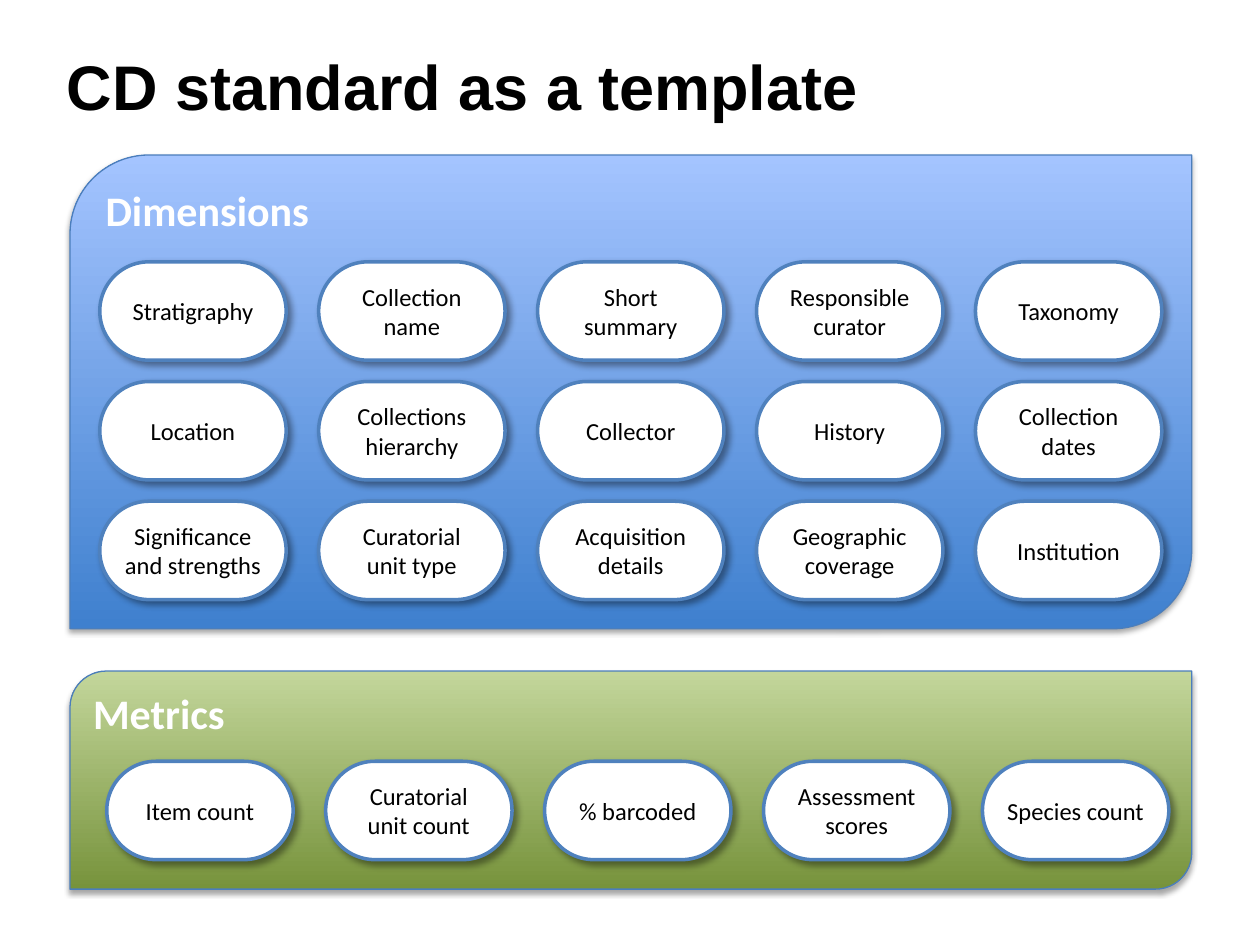
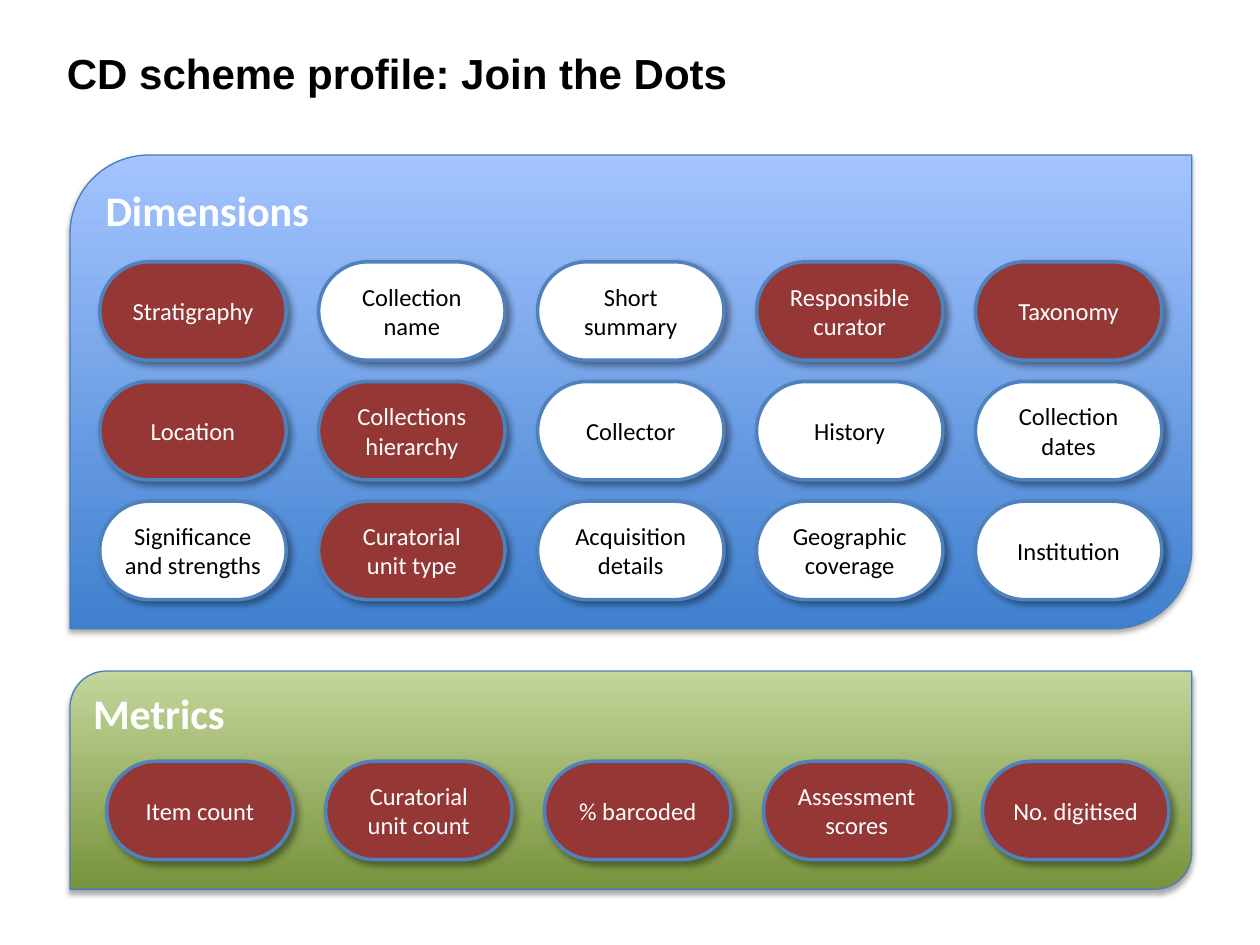
"""Builds two slides that show a collection description standard and one profile of it."""
from lxml.etree import SubElement
from pptx import Presentation
from pptx.dml.color import RGBColor
from pptx.enum.shapes import MSO_SHAPE
from pptx.enum.text import MSO_ANCHOR, MSO_AUTO_SIZE, PP_ALIGN
from pptx.oxml.ns import qn
from pptx.util import Pt

BLACK = RGBColor(0x00, 0x00, 0x00)
WHITE = RGBColor(0xFF, 0xFF, 0xFF)
DARK_RED = RGBColor(0x95, 0x37, 0x35)
PANEL_LINE = RGBColor(0x4B, 0x7E, 0xBC)
PILL_LINE = RGBColor(0x4F, 0x81, 0xBD)
BLUES = RGBColor(0x3F, 0x80, 0xCE), RGBColor(0xA4, 0xC4, 0xFF)
GREENS = RGBColor(0x77, 0x93, 0x3C), RGBColor(0xC3, 0xD6, 0x9B)

COLUMNS = 5
COLUMN_PITCH, ROW_PITCH = 125.1, 68.4
PILL_WIDTH, PILL_HEIGHT = 106.5, 56.2

DIMENSIONS = [
    "Stratigraphy", "Collection name", "Short summary", "Responsible curator", "Taxonomy",
    "Location", "Collections hierarchy", "Collector", "History", "Collection dates",
    "Significance and strengths", "Curatorial unit type", "Acquisition details",
    "Geographic coverage", "Institution",
]
SHARED_METRICS = ["Item count", "Curatorial unit count", "% barcoded", "Assessment scores"]
TEMPLATE_METRICS = SHARED_METRICS + ["Species count"]
PROFILE_METRICS = SHARED_METRICS + ["No. digitised"]
PROFILE_DIMENSIONS = {
    "Stratigraphy", "Responsible curator", "Taxonomy",
    "Location", "Collections hierarchy", "Curatorial unit type",
}


def add_span(para, text, font, size, color, bold=False):
    """Add one formatted run to a paragraph."""
    span = para.add_run()
    span.text = text
    span.font.name = font
    span.font.size = Pt(size)
    span.font.color.rgb = color
    span.font.bold = bold


def add_shadow(box, opacity, blur, distance, angle):
    """Give a shape a soft black outer shadow."""
    box.shadow.inherit = False
    effects = box.element.spPr.find(qn("a:effectLst"))
    shadow = SubElement(effects, qn("a:outerShdw"), blurRad=str(Pt(blur)), dist=str(Pt(distance)),
                        dir=str(angle * 60000), rotWithShape="0")
    color = SubElement(shadow, qn("a:srgbClr"), val=str(BLACK))
    SubElement(color, qn("a:alpha"), val=str(opacity * 1000))


def add_box(page, kind, left, top, width, height, line_color, line_width):
    """Add an outlined preset shape."""
    box = page.shapes.add_shape(kind, Pt(left), Pt(top), Pt(width), Pt(height))
    box.line.color.rgb = line_color
    box.line.width = Pt(line_width)
    return box


def add_title(page, text, size):
    """Place and fill the slide title."""
    title = page.shapes.title
    title.left, title.top, title.width, title.height = Pt(31), Pt(21), Pt(652), Pt(57)
    frame = title.text_frame
    frame.auto_size = MSO_AUTO_SIZE.NONE
    frame.vertical_anchor = MSO_ANCHOR.TOP
    frame.margin_top = Pt(6)
    para = frame.paragraphs[0]
    para.alignment = PP_ALIGN.LEFT
    add_span(para, text, "Arial", size, BLACK, bold=True)


def add_panel(page, heading, top, height, gradient):
    """Add a headed gradient panel with two rounded corners."""
    panel = add_box(page, MSO_SHAPE.ROUND_2_DIAG_RECTANGLE, 40, top, 641, height, PANEL_LINE, 0.75)
    panel.fill.gradient()
    panel.fill.gradient_angle = 90
    for stop, position, color in zip(panel.fill.gradient_stops, (0, 1), gradient):
        stop.position = position
        stop.color.rgb = color
    add_shadow(panel, 35, 3.1, 1.8, 90)
    panel.text_frame.vertical_anchor = MSO_ANCHOR.TOP
    para = panel.text_frame.paragraphs[0]
    para.alignment = PP_ALIGN.LEFT
    add_span(para, heading, "Calibri", 24, WHITE, bold=True)


def add_pill(page, text, left, top, selected):
    """Add a labelled pill, dark red when selected."""
    pill = add_box(page, MSO_SHAPE.ROUNDED_RECTANGLE, left, top,
                   PILL_WIDTH, PILL_HEIGHT, PILL_LINE, 2)
    pill.adjustments[0] = 0.5
    pill.fill.solid()
    pill.fill.fore_color.rgb = DARK_RED if selected else WHITE
    add_shadow(pill, 40, 4, 3, 45)
    frame = pill.text_frame
    frame.word_wrap = True
    frame.vertical_anchor = MSO_ANCHOR.MIDDLE
    frame.margin_left = frame.margin_right = Pt(5)
    frame.margin_top = frame.margin_bottom = Pt(3)
    para = frame.paragraphs[0]
    para.alignment = PP_ALIGN.CENTER
    add_span(para, text, "Calibri", 14, WHITE if selected else BLACK)


def add_pill_grid(page, labels, left, top, selected):
    """Lay out pills row by row."""
    for index, label in enumerate(labels):
        row, column = divmod(index, COLUMNS)
        add_pill(page, label, left + column * COLUMN_PITCH, top + row * ROW_PITCH,
                 label in selected)


def add_scheme_page(deck, title, title_size, metrics, selected):
    """Add a slide with the dimensions and metrics of a scheme."""
    page = deck.slides.add_slide(deck.slide_layouts[5])
    add_title(page, title, title_size)
    add_panel(page, "Dimensions", 88.6, 270.7, BLUES)
    add_pill_grid(page, DIMENSIONS, 57, 149.6, selected)
    add_panel(page, "Metrics", 383.5, 124.6, GREENS)
    add_pill_grid(page, metrics, 61, 435, selected)


def main():
    """Build and save the deck."""
    deck = Presentation()
    deck.slide_width, deck.slide_height = Pt(720), Pt(540)
    add_scheme_page(deck, "CD standard as a template", 36, TEMPLATE_METRICS, set())
    add_scheme_page(deck, "CD scheme profile: Join the Dots", 24, PROFILE_METRICS,
                    PROFILE_DIMENSIONS.union(PROFILE_METRICS))
    deck.save("out.pptx")


if __name__ == "__main__":
    main()
